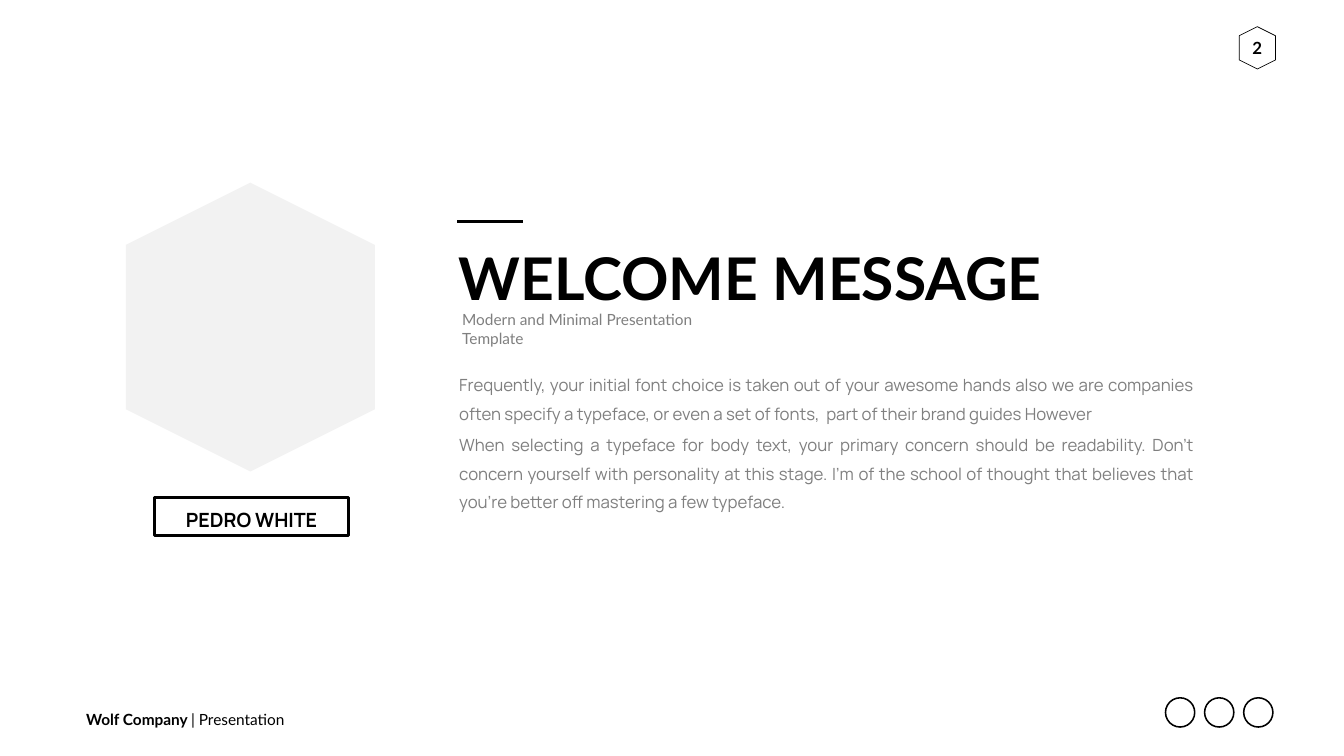
import dataclasses

import lxml.etree
import pptx
import pptx.dml.color
import pptx.enum.shapes
import pptx.enum.text
import pptx.oxml.ns
import pptx.util

SHAPE = pptx.enum.shapes.MSO_SHAPE
ALIGN = pptx.enum.text.PP_ALIGN
ANCHOR = pptx.enum.text.MSO_ANCHOR
BLACK, GREY, PALE = "000000", "7F7F7F", "F2F2F2"
HEADING_FONT, BODY_FONT = "Lato", "Manrope"


@dataclasses.dataclass
class Box:
    left: float
    top: float
    width: float
    height: float

    def inner(self, x, y, width, height):
        """Return an inner box given in percent of this one."""
        return Box(self.left + self.width * x / 100,
                   self.top + self.height * y / 100,
                   self.width * width / 100,
                   self.height * height / 100)

    def emu(self):
        return [pptx.util.Inches(length) for length in dataclasses.astuple(self)]


def color(value):
    return pptx.dml.color.RGBColor.from_string(value)


def add_shape(slide, kind, box, fill=None, line=None, line_width=1):
    shape = slide.shapes.add_shape(kind, *box.emu())
    shape.shadow.inherit = False
    if fill:
        shape.fill.solid()
        shape.fill.fore_color.rgb = color(fill)
    else:
        shape.fill.background()
    if line:
        shape.line.color.rgb = color(line)
        shape.line.width = pptx.util.Pt(line_width)
    else:
        shape.line.fill.background()
    return shape


def add_upright_hexagon(slide, box, **style):
    """Fill the box with a hexagon that stands on its point."""
    lying = Box(box.left + (box.width - box.height) / 2,
                box.top + (box.height - box.width) / 2,
                box.height, box.width)
    add_shape(slide, SHAPE.HEXAGON, lying, **style).rotation = 90


def add_rule(slide, box):
    left, top, width, _ = box.emu()
    rule = slide.shapes.add_connector(
        pptx.enum.shapes.MSO_CONNECTOR.STRAIGHT, left, top, left + width, top)
    rule.line.color.rgb = color(BLACK)
    rule.line.width = pptx.util.Pt(4.5)
    lxml.etree.SubElement(rule._element.spPr, pptx.oxml.ns.qn("a:effectLst"))


def add_text(slide, box, paragraphs, size, font=HEADING_FONT, fill=BLACK,
             align=ALIGN.LEFT, anchor=ANCHOR.MIDDLE, insets=(0.1, 0.05),
             line_spacing=None, space_before=0):
    """Write paragraphs, each a list of (text, bold) runs."""
    frame = slide.shapes.add_textbox(*box.emu()).text_frame
    frame.word_wrap = True
    frame.vertical_anchor = anchor
    frame.margin_left = frame.margin_right = pptx.util.Inches(insets[0])
    frame.margin_top = frame.margin_bottom = pptx.util.Inches(insets[1])
    for index, runs in enumerate(paragraphs):
        paragraph = frame.add_paragraph() if index else frame.paragraphs[0]
        paragraph.alignment = align
        if line_spacing:
            paragraph.line_spacing = pptx.util.Pt(line_spacing)
        if index:
            paragraph.space_before = pptx.util.Pt(space_before)
        for text, bold in runs:
            run = paragraph.add_run()
            run.text = text
            run.font.name = font
            run.font.size = pptx.util.Pt(size)
            run.font.bold = bold
            run.font.color.rgb = color(fill)


def add_page_number(slide, box, number):
    add_upright_hexagon(slide, box, line=BLACK)
    add_text(slide, box, [[(number, True)]], 24, align=ALIGN.CENTER, insets=(0, 0))


def add_profile(slide, box, name):
    add_upright_hexagon(slide, box.inner(0, 0, 100, 81.8), fill=PALE)
    add_shape(slide, SHAPE.RECTANGLE, box.inner(11.64, 89.15, 77.73, 10.85),
              line=BLACK, line_width=4.5)
    add_text(slide, box.inner(11.64, 91.4, 77.73, 8.2), [[(name, True)]], 28,
             BODY_FONT, align=ALIGN.CENTER)


def add_message(slide, box, title, subtitle, body):
    add_rule(slide, box.inner(1.33, 0, 8.64, 0))
    add_text(slide, box.inner(0.86, 5.57, 99, 23.37), [[(title, True)]], 84,
             anchor=ANCHOR.TOP)
    add_text(slide, box.inner(1.33, 29.41, 39.6, 7.28), [[(subtitle, False)]], 22,
             fill=GREY)
    add_text(slide, box.inner(0, 42.88, 100, 57.12),
             [[(text, False)] for text in body], 24, BODY_FONT, GREY,
             ALIGN.JUSTIFY, ANCHOR.TOP, (0.24, 0.12),
             line_spacing=40.4, space_before=5)


def add_footer(slide, box, company, label, ring_count=3):
    add_text(slide, box.inner(0, 32.79, 40, 77), [[(company, True), (label, False)]], 22)
    diameter = 0.95 * box.height
    pitch = 1.27 * box.height
    right = box.left + box.width - diameter
    for index in range(ring_count):
        ring = Box(right - index * pitch, box.top + (box.height - diameter) / 2,
                   diameter, diameter)
        add_shape(slide, SHAPE.OVAL, ring, line=BLACK, line_width=2.2)


def main():
    presentation = pptx.Presentation()
    page = Box(0, 0, 26.66, 15)
    presentation.slide_width = pptx.util.Inches(page.width)
    presentation.slide_height = pptx.util.Inches(page.height)
    slide = presentation.slides.add_slide(presentation.slide_layouts[6])

    add_footer(slide, page.inner(6.04, 92.2, 88.67, 4.07),
               "Wolf Company ", "| Presentation")
    add_page_number(slide, page.inner(92.2, 3.53, 2.7, 5.6), "2")
    add_profile(slide, page.inner(9.36, 24.17, 18.53, 46.7), "PEDRO WHITE")
    add_message(
        slide, page.inner(33.27, 29.27, 56.45, 43.07),
        "WELCOME MESSAGE",
        "Modern and Minimal Presentation Template",
        ["Frequently, your initial font choice is taken out of your awesome hands "
         "also we are companies often specify a typeface, or even a set of fonts,  "
         "part of their brand guides However",
         "When selecting a typeface for body text, your primary concern should be "
         "readability. Don’t concern yourself with personality at this stage. I’m "
         "of the school of thought that believes that you’re better off mastering "
         "a few typeface."])
    presentation.save("out.pptx")


if __name__ == "__main__":
    main()
